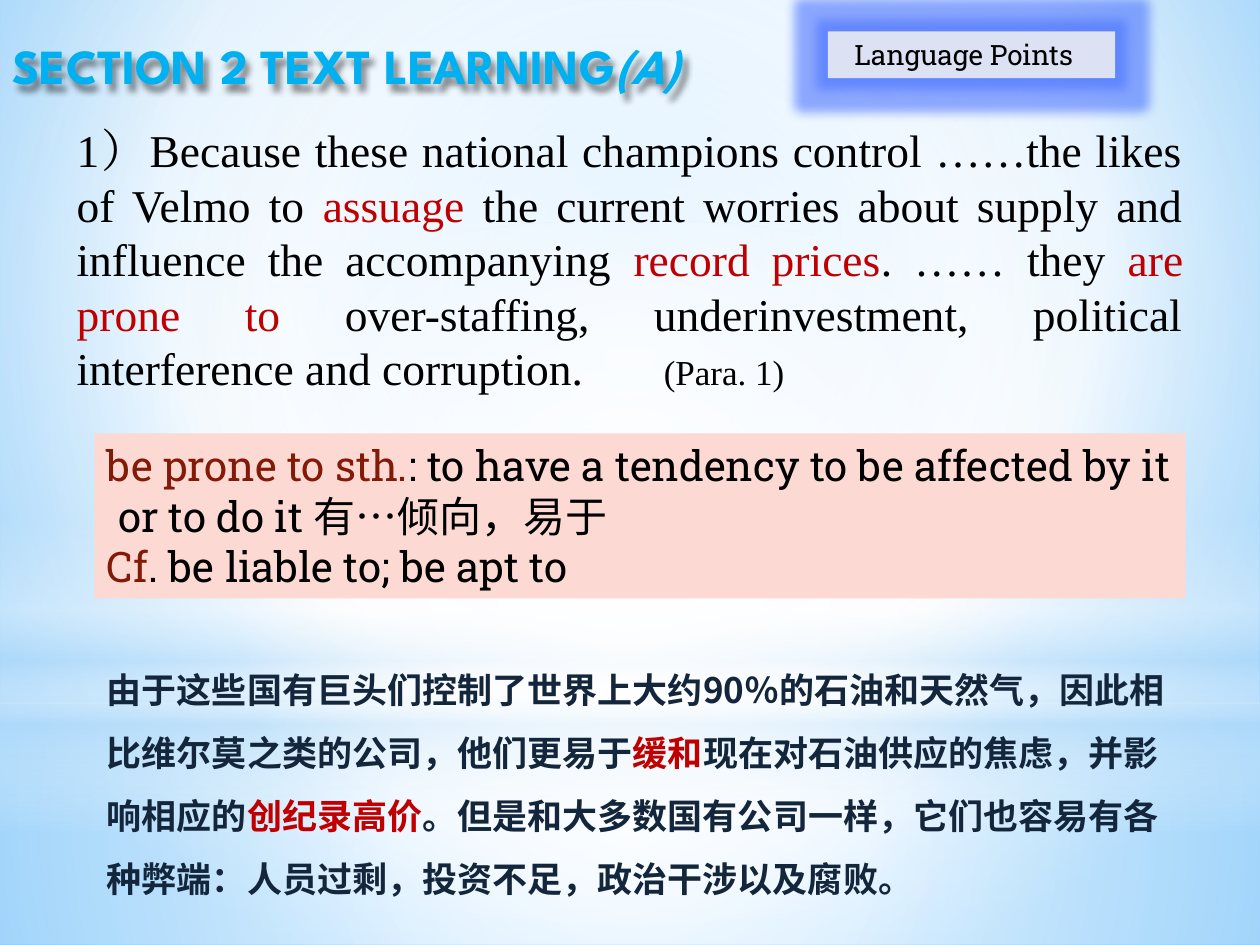
from pptx import Presentation
from pptx import util as u
from pptx.dml.color import RGBColor
from pptx.enum import shapes, text
from pptx.oxml.ns import qn
from lxml import etree

W, H = 10, 7.5
INK, RED, BROWN, NAVY = "000000", "C00000", "821A08", "13263B"
TIMES, SLAB, HAN = "Times New Roman", "Roboto Slab", "Noto Sans CJK SC"
MID = (50, 50, 50, 50)

# Gradients: stops are (position, colour, opacity)
BACK = [(0, "9ED5FF", 100), (60, "FFFFFF", 100), (100, "5BB9FF", 100)]
LAYERS = [  # kind, box, stops, centre (None: top to bottom)
    ("RECTANGLE", (0, 5.58, W, 1.92),
     [(0, "FFFFFF", 91), (37, "FFFFFF", 76), (100, "B4DCFA", 79)], MID),
    ("RECTANGLE", (0, 0, W, 5.58),
     [(0, "FFFFFF", 89), (48, "FFFFFF", 62), (100, "B4DCFA", 79)], MID),
    ("RECTANGLE", (0, 4.12, W, 2.5),
     [(0, "FFFFFF", 0), (29, "FFFFFF", 30), (45, "B4DCFA", 40),
      (55, "FFFFFF", 26), (65, "B4DCFA", 60), (100, "FFFFFF", 0)], None),
    ("OVAL", (0, 1.75, W, 5.58),
     [(0, "FFFFFF", 100), (56, "FFFFFF", 0)], MID),
]

# Text: paragraphs of runs (words, colour, then any changes of style)
TITLE = [[("SECTION 2 TEXT LEARNING", "00B0F0"),
          ("(A)", "00B0F0", {"italic": True})]]
QUOTE = [[
    ("1）Because these national champions control ……the likes of Velmo to ", INK),
    ("assuage", RED),
    (" the current worries about supply and influence the accompanying ", INK),
    ("record prices", RED), (". …… they ", INK), ("are prone to ", RED),
    ("over-staffing, underinvestment, political interference and corruption.\t", INK),
    ("(Para. 1)", INK, {"size": 20})]]
CHINESE = [[
    ("由于这些国有巨头们控制了世界上大约90％的石油和天然气，因此相比维尔莫之类的公司，他们更易于", NAVY),
    ("缓和", RED), ("现在对石油供应的焦虑，并影响相应的", NAVY),
    ("创纪录高价", RED),
    ("。但是和大多数国有公司一样，它们也容易有各种弊端：人员过剩，投资不足，政治干涉以及腐败。", NAVY)]]
PHRASE = [
    [("be prone to sth.", BROWN),
     (": to have a tendency to be affected by it or to do it ", INK),
     ("有…倾向，易于", INK, {"name": HAN})],
    [("Cf", BROWN), (". be liable to; be apt to", INK)]]
LABEL = [[("Language Points", INK)]]


def rgb(code):
    return RGBColor.from_string(code)


def sub(node, tag, **keys):
    return etree.SubElement(node, qn("a:" + tag),
                            {k: str(v) for k, v in keys.items()})


def tint(node, code, alpha):
    sub(sub(node, "srgbClr", val=code), "alpha", val=alpha * 1000)


def blend(fill, root, stops, mid):
    fill.gradient()
    grad = next(root.iter(qn("a:gradFill")))
    for kid in list(grad):
        grad.remove(kid)
    rows = sub(grad, "gsLst")
    for pos, code, alpha in stops:
        tint(sub(rows, "gs", pos=pos * 1000), code, alpha)
    if mid:
        way = sub(grad, "path", path="circle")
        sub(way, "fillToRect", **{k: v * 1000 for k, v in zip("ltrb", mid)})
    else:
        sub(grad, "lin", ang=90 * 60000, scaled=0)


def shape(kind, box):
    item = slide.shapes.add_shape(getattr(shapes.MSO_SHAPE, kind),
                                  *map(u.Inches, box))
    item.shadow.inherit = False
    item.line.fill.background()
    return item


def effect(item, tag, code, alpha, **keys):
    node = next(item.element.spPr.iter(qn("a:effectLst")))
    tint(sub(node, tag, **keys), code, alpha)


def write(box, paras, name, size, fill=None, inset=0.1, space=None,
          bold=None, align=text.PP_ALIGN.LEFT):
    item = shape("RECTANGLE", box)
    if fill:
        item.fill.solid()
        item.fill.fore_color.rgb = rgb(fill)
    else:
        item.fill.background()
    frame = item.text_frame
    frame.word_wrap = True
    frame.vertical_anchor = text.MSO_ANCHOR.TOP
    frame.margin_left = u.Inches(inset)
    for i, runs in enumerate(paras):
        para = frame.add_paragraph() if i else frame.paragraphs[0]
        para.alignment = align
        if space:
            para.line_spacing = space
        for words, code, *more in runs:
            style = {"name": name, "size": size, "bold": bold}
            style.update(*more)
            style["size"] = u.Pt(style["size"])
            run = para.add_run()
            run.text = words
            for key, val in style.items():
                setattr(run.font, key, val)
            run.font.color.rgb = rgb(code)
            sub(run.font._element, "ea", typeface=style["name"])
    return item


deck = Presentation()
deck.slide_width, deck.slide_height = u.Inches(W), u.Inches(H)
slide = deck.slides.add_slide(deck.slide_layouts[6])

# Background and its soft light
blend(slide.background.fill, slide.element, BACK, (20, 10, 20, 60))
for kind, box, stops, mid in LAYERS:
    layer = shape(kind, box)
    blend(layer.fill, layer.element, stops, mid)

# Title with a soft shadow
title = write((-0.2, 0, 6.34, 0.72), TITLE, "League Spartan", 28,
              inset=0.3, space=1.5, bold=True)
effect(title, "outerShdw", INK, 45, blurRad=50800, dist=50800, dir=3600000)

# Quoted sentence, with a tab stop before its source
quote = write((0.51, 0.92, 8.98, 2.29), QUOTE, TIMES, 26,
              align=text.PP_ALIGN.JUSTIFY)
tabs = sub(quote.text_frame.paragraphs[0]._p.get_or_add_pPr(), "tabLst")
sub(tabs, "tab", pos=u.Inches(4.66), algn="l")

# Translation
write((0.75, 5.09, 8.74, 2.1), CHINESE, HAN, 20, space=1.5, bold=True)

# Phrase box, with a hanging second line
phrase = write((0.75, 3.44, 8.66, 1.31), PHRASE, SLAB, 24, "FCD9D3")
first = phrase.text_frame.paragraphs[0]._p.get_or_add_pPr()
first.set("marL", str(u.Inches(0.09)))
first.set("indent", str(-u.Inches(0.09)))

# Glowing label
label = write((6.57, 0.25, 2.28, 0.37), LABEL, SLAB, 16, "DCE1F4", inset=0.21)
effect(label, "glow", "4A73FF", 60, rad=u.Inches(0.18))

deck.save("out.pptx")
